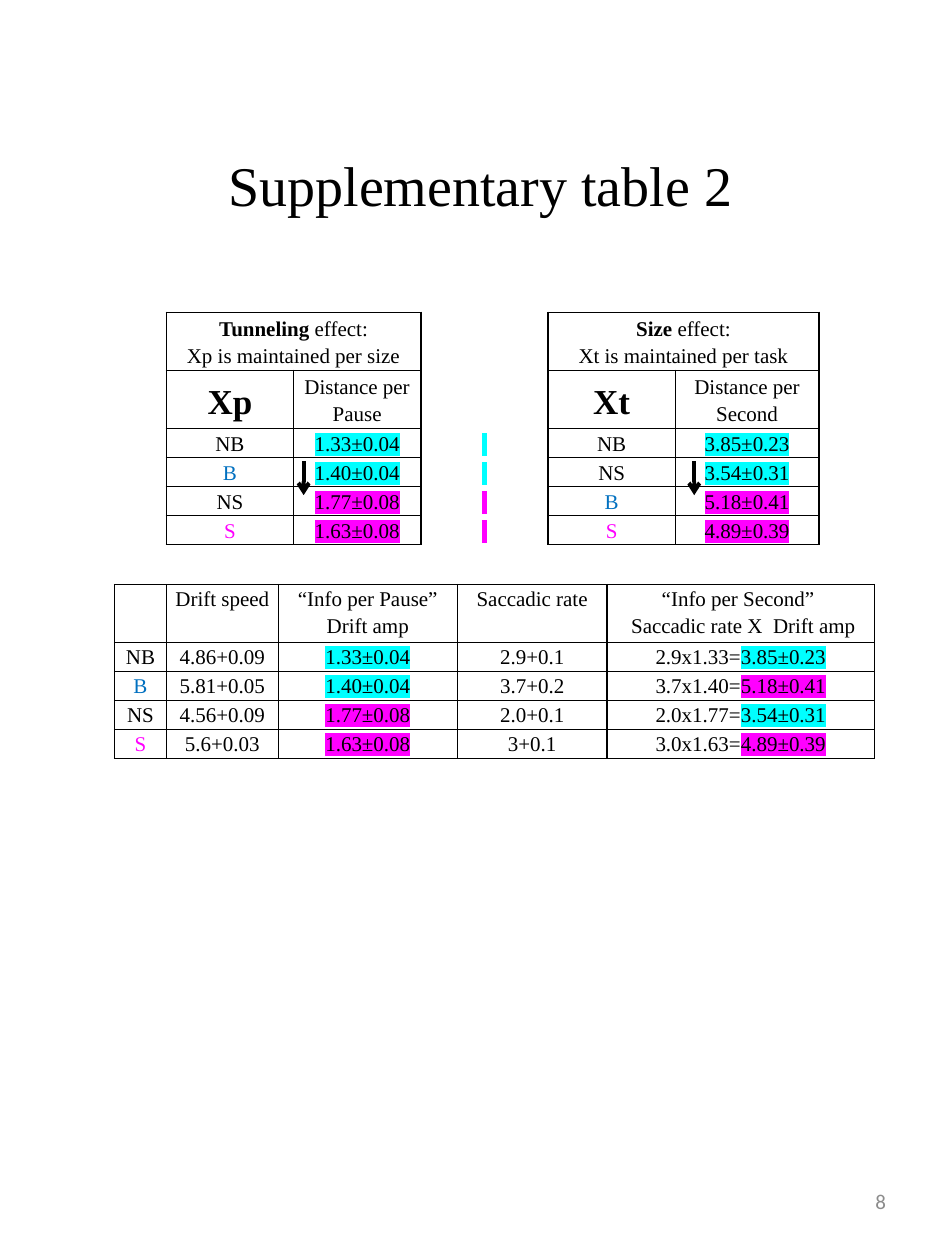
from dataclasses import dataclass
from typing import Any, NamedTuple, Optional

import lxml.etree
import pptx
import pptx.dml.color
import pptx.enum.shapes
import pptx.enum.text
import pptx.oxml.ns
import pptx.util

Inches = pptx.util.Inches
Pt = pptx.util.Pt
Align = pptx.enum.text.PP_ALIGN
Anchor = pptx.enum.text.MSO_ANCHOR
qn = pptx.oxml.ns.qn


@dataclass(frozen=True)
class Theme:
    """Colours, fonts and type sizes of the slide."""
    black: str = "000000"
    blue: str = "0070C0"
    cyan: str = "00FFFF"
    magenta: str = "FF00FF"
    grey: str = "8C8C8C"
    serif: str = "Times New Roman"
    sans: str = "Calibri"
    title: float = 32
    symbol: float = 20
    body: float = 12


THEME = Theme()


class Run(NamedTuple):
    """A stretch of text with one format."""
    text: str
    color: str = THEME.black
    size: float = THEME.body
    bold: bool = False
    highlight: Optional[str] = None


class Condition(NamedTuple):
    """Measurements of one viewing condition."""
    label: Run
    drift_speed: str
    per_pause: Run
    saccadic_rate: str
    product: str
    per_second: Run


Paragraphs = list[list[Run]]

NB = Condition(Run("NB"), "4.86+0.09", Run("1.33±0.04", highlight=THEME.cyan),
               "2.9+0.1", "2.9x1.33=", Run("3.85±0.23", highlight=THEME.cyan))
B = Condition(Run("B", THEME.blue), "5.81+0.05", Run("1.40±0.04", highlight=THEME.cyan),
              "3.7+0.2", "3.7x1.40=", Run("5.18±0.41", highlight=THEME.magenta))
NS = Condition(Run("NS"), "4.56+0.09", Run("1.77±0.08", highlight=THEME.magenta),
               "2.0+0.1", "2.0x1.77=", Run("3.54±0.31", highlight=THEME.cyan))
S = Condition(Run("S", THEME.magenta), "5.6+0.03", Run("1.63±0.08", highlight=THEME.magenta),
              "3+0.1", "3.0x1.63=", Run("4.89±0.39", highlight=THEME.magenta))


def write(frame: Any, paragraphs: Paragraphs, *, font: str = THEME.serif,
          align: Any = Align.CENTER, spacing: Optional[float] = None) -> None:
    """Fill a text frame with formatted paragraphs."""
    frame.word_wrap = True
    for index, runs in enumerate(paragraphs):
        paragraph = frame.paragraphs[0] if index == 0 else frame.add_paragraph()
        paragraph.alignment = align
        if spacing:
            paragraph.line_spacing = spacing
        for part in runs:
            run = paragraph.add_run()
            run.text = part.text
            run.font.name = font
            run.font.size = Pt(part.size)
            run.font.bold = part.bold
            run.font.color.rgb = pptx.dml.color.RGBColor.from_string(part.color)
            if part.highlight:
                mark = lxml.etree.Element(qn("a:highlight"))
                lxml.etree.SubElement(mark, qn("a:srgbClr"), val=part.highlight)
                run.font._element.find(qn("a:solidFill")).addnext(mark)


def set_borders(cell: Any, sides: str) -> None:
    """Draw black borders on the named sides (of L, R, T, B) and clear the others."""
    properties = cell._tc.get_or_add_tcPr()
    for index, side in enumerate("LRTB"):
        line = lxml.etree.Element(qn(f"a:ln{side}"), w=str(Pt(1)))
        if side in sides:
            fill = lxml.etree.SubElement(line, qn("a:solidFill"))
            lxml.etree.SubElement(fill, qn("a:srgbClr"), val=THEME.black)
        else:
            lxml.etree.SubElement(line, qn("a:noFill"))
        properties.insert(index, line)


def add_grid(slide: Any, left: float, top: float, widths: list[float], heights: list[float],
             rows: list[list[Paragraphs]], *, anchor: Any = Anchor.TOP,
             gap_column: Optional[int] = None) -> Any:
    """Add a ruled table; the gap column has side borders only."""
    frame = slide.shapes.add_table(len(rows), len(widths), Inches(left), Inches(top),
                                   Inches(sum(widths)), Inches(sum(heights)))
    table = frame.table
    table.first_row = table.horz_banding = False
    for column, width in zip(table.columns, widths):
        column.width = Inches(width)
    for row, height in zip(table.rows, heights):
        row.height = Inches(height)
    for r, contents in enumerate(rows):
        for c, paragraphs in enumerate(contents):
            cell = table.cell(r, c)
            cell.fill.background()
            cell.vertical_anchor = anchor
            cell.margin_left = cell.margin_right = Inches(0.07)
            cell.margin_top = cell.margin_bottom = 0
            set_borders(cell, "LR" if c == gap_column else "LRTB")
            write(cell.text_frame, paragraphs, spacing=1.15)
    return table


def add_arrow(slide: Any, x: float, top: float, bottom: float) -> None:
    """Add a vertical arrow pointing down."""
    arrow = slide.shapes.add_connector(pptx.enum.shapes.MSO_CONNECTOR.STRAIGHT,
                                       Inches(x), Inches(top), Inches(x), Inches(bottom))
    arrow.line.width = Pt(2.25)
    arrow.line.color.rgb = pptx.dml.color.RGBColor.from_string(THEME.black)
    lxml.etree.SubElement(arrow.line._get_or_add_ln(), qn("a:tailEnd"), type="arrow")
    lxml.etree.SubElement(arrow._element.spPr, qn("a:effectLst"))


def effect_heading(name: str, rule: str) -> Paragraphs:
    """Return the two-line heading of an effect."""
    return [[Run(name, bold=True), Run(" effect:")], [Run(rule)]]


def symbol(text: str) -> Paragraphs:
    """Return a large bold symbol."""
    return [[Run(text, size=THEME.symbol, bold=True)]]


def build() -> None:
    """Build the slide and save it."""
    deck = pptx.Presentation()
    deck.slide_width, deck.slide_height = Inches(7.5), Inches(10)
    slide = deck.slides.add_slide(deck.slide_layouts[5])

    title = slide.shapes.title
    title.left, title.top = Inches(0.44), Inches(0.63)
    title.width, title.height = Inches(6.75), Inches(1.67)
    title.text_frame.vertical_anchor = Anchor.MIDDLE
    write(title.text_frame, [[Run("Supplementary table 2", size=THEME.title)]])

    page = slide.shapes.add_textbox(Inches(5.38), Inches(9.27), Inches(1.75), Inches(0.53))
    page.text_frame.vertical_anchor = Anchor.MIDDLE
    write(page.text_frame, [[Run("8", THEME.grey)]], font=THEME.sans, align=Align.RIGHT)

    effects: list[list[Paragraphs]] = [
        [effect_heading("Tunneling", "Xp is maintained per size"), [], [],
         effect_heading("Size", "Xt is maintained per task"), []],
        [symbol("Xp"), [[Run("Distance per Pause")]], [],
         symbol("Xt"), [[Run("Distance per Second")]]],
    ]
    for pause, second in zip((NB, B, NS, S), (NB, NS, B, S)):
        swatch = Run("\u00a0", highlight=pause.per_pause.highlight)
        effects.append([[[part]] for part in (pause.label, pause.per_pause, swatch,
                                              second.label, second.per_second)])
    effect_table = add_grid(slide, 1.32, 2.48, [1.01] * 4 + [1.14], [0.42] * 2 + [0.21] * 4,
                            effects, anchor=Anchor.MIDDLE, gap_column=2)
    for first in (0, 3):
        effect_table.cell(0, first).merge(effect_table.cell(0, first + 1))

    for x in (2.41, 5.51):
        add_arrow(slide, x, 3.66, 3.93)

    measures: list[list[Paragraphs]] = [
        [[], [[Run("Drift speed")]], [[Run("“Info per Pause” Drift amp")]],
         [[Run("Saccadic rate")]],
         [[Run("“Info per Second” ")], [Run(" Saccadic rate X  Drift amp")]]],
    ]
    for item in (NB, B, NS, S):
        measures.append([[[item.label]], [[Run(item.drift_speed)]], [[item.per_pause]],
                         [[Run(item.saccadic_rate)]], [[Run(item.product), item.per_second]]])
    add_grid(slide, 0.91, 4.64, [0.41, 0.89, 1.42, 1.19, 2.12], [0.42] + [0.21] * 4, measures)

    deck.save("out.pptx")


build()
